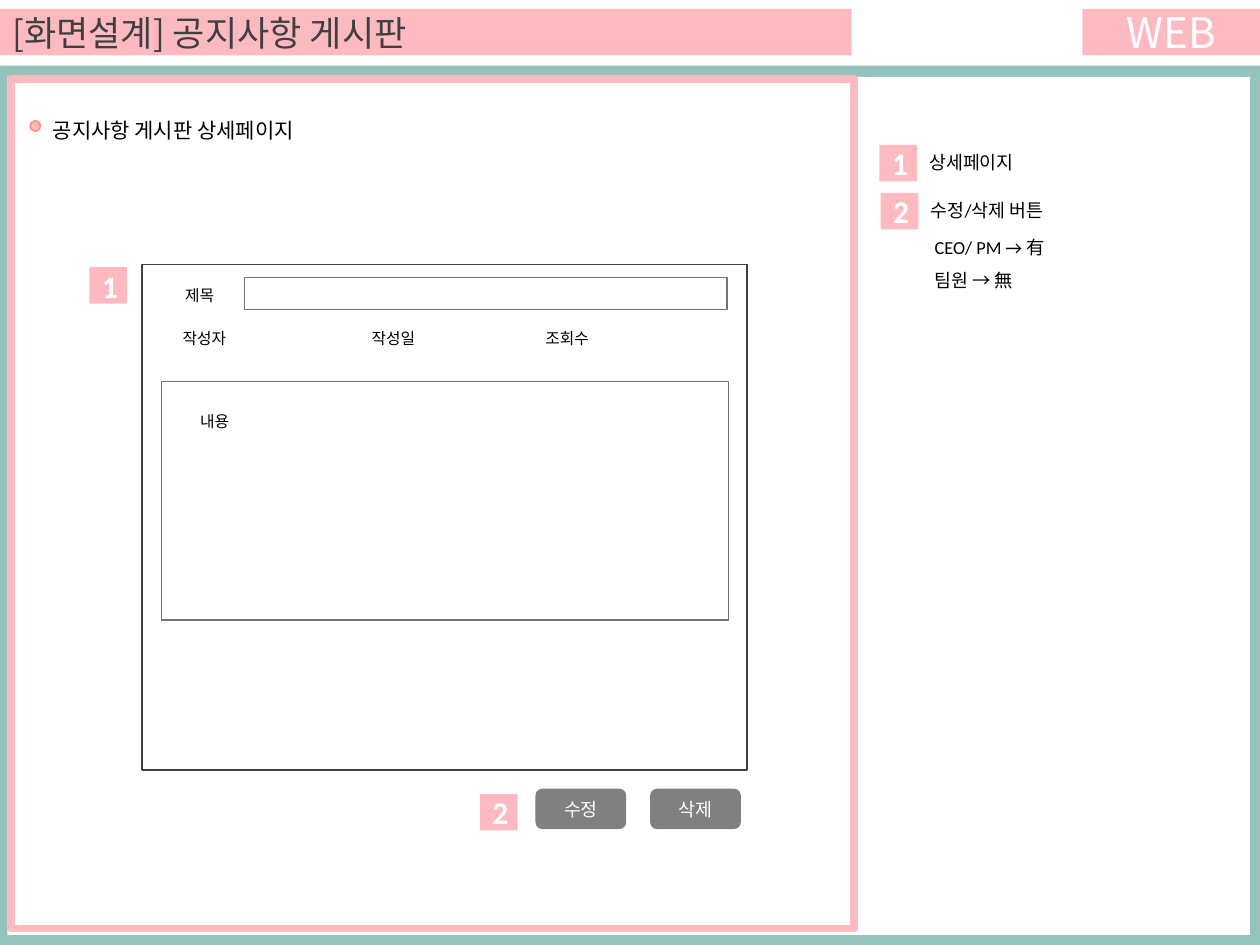
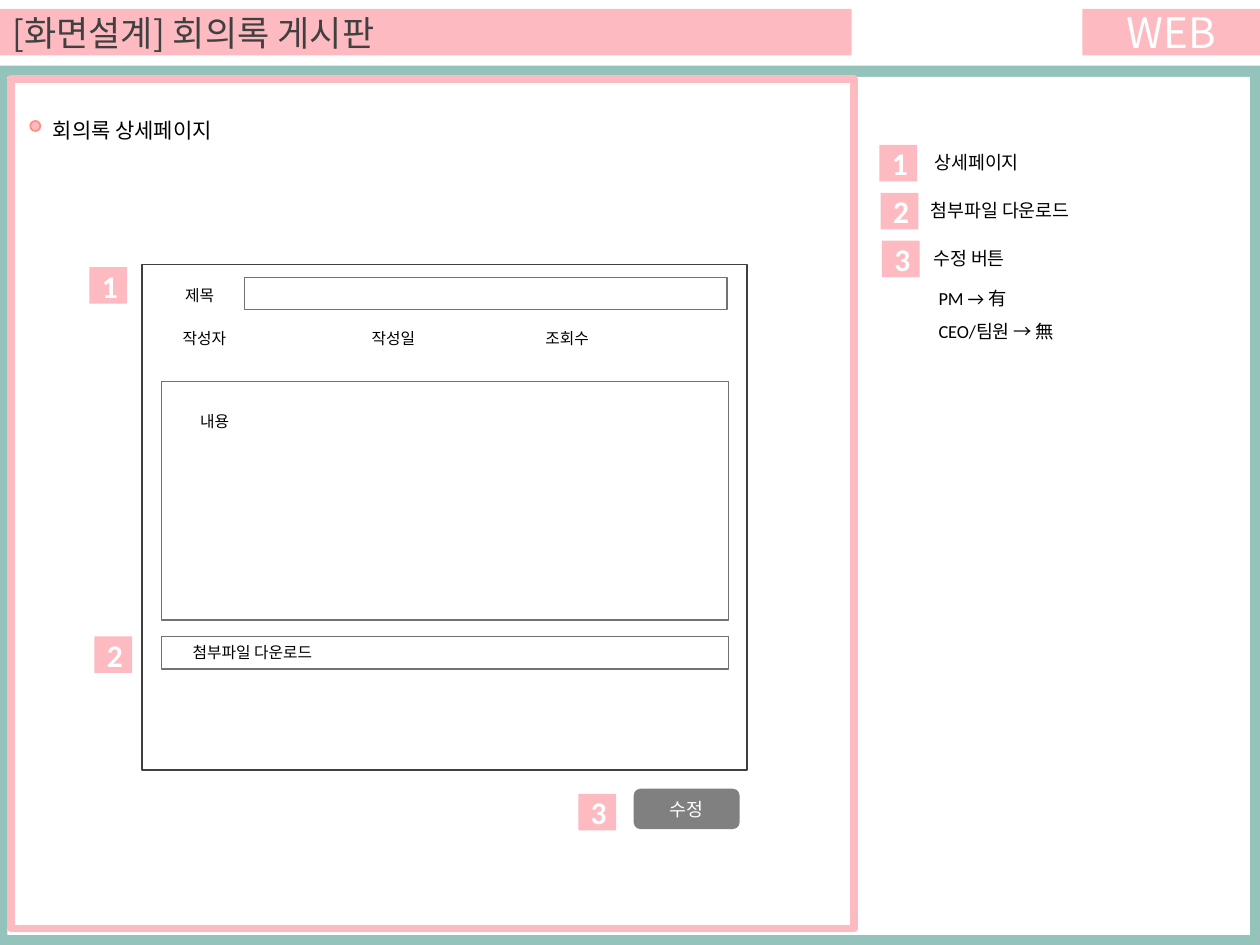
"""Build two wireframe slides describing the detail pages of two boards."""
import dataclasses

import pptx
import pptx.dml.color
import pptx.enum.shapes
import pptx.enum.text
import pptx.oxml
import pptx.oxml.ns
import pptx.util

Inches = pptx.util.Inches
SHAPE = pptx.enum.shapes.MSO_SHAPE
ALIGN = pptx.enum.text.PP_ALIGN
ANCHOR = pptx.enum.text.MSO_ANCHOR
AUTO_SIZE = pptx.enum.text.MSO_AUTO_SIZE


@dataclasses.dataclass(frozen=True)
class Theme:
    pink: str = "FDBBC1"
    coral: str = "FE907E"
    teal: str = "94C3BB"
    white: str = "FFFFFF"
    black: str = "000000"
    dark: str = "404040"
    outline: str = "767171"
    button: str = "808080"
    heading_font: str = "Noto Sans CJK KR"
    body_font: str = "Calibri"
    button_font: str = "Arial"
    platform_size: float = 24
    title_size: float = 20
    badge_size: float = 18
    subtitle_size: float = 12
    note_size: float = 10.5
    field_size: float = 9


theme = Theme()


def draw_shape(shapes, kind, at, fill=None, line=None, weight=1):
    shape = shapes.add_shape(kind, *map(Inches, at))
    shape.shadow.inherit = False
    if fill:
        shape.fill.solid()
        shape.fill.fore_color.rgb = pptx.dml.color.RGBColor.from_string(fill)
    else:
        shape.fill.background()
    if line:
        shape.line.color.rgb = pptx.dml.color.RGBColor.from_string(line)
        shape.line.width = pptx.util.Pt(weight)
    else:
        shape.line.fill.background()
    return shape


def write_text(shape, text, size, color=theme.black, font=theme.body_font, bold=False,
               align=ALIGN.LEFT, anchor=ANCHOR.TOP, wrap=True, grow=False, spacing=None):
    frame = shape.text_frame
    frame.text = text
    frame.word_wrap = wrap
    frame.vertical_anchor = anchor
    if grow:
        frame.auto_size = AUTO_SIZE.SHAPE_TO_FIT_TEXT
    for paragraph in frame.paragraphs:
        paragraph.alignment = align
        if spacing:
            paragraph.line_spacing = spacing
        for run in paragraph.runs:
            run.font.size = pptx.util.Pt(size)
            run.font.bold = bold
            run.font.name = font
            run.font.color.rgb = pptx.dml.color.RGBColor.from_string(color)
            east_asian = pptx.oxml.parse_xml(
                f'<a:ea {pptx.oxml.ns.nsdecls("a")} typeface="{theme.heading_font}"/>')
            run.font._element.find(pptx.oxml.ns.qn("a:latin")).addnext(east_asian)


pages = [
    {
        "title": "[화면설계] 공지사항 게시판",
        "subtitle": "공지사항 게시판 상세페이지",
        "notes": [("상세페이지", 7.28), ("수정/삭제 버튼", 7.29)],
        "permissions": ("CEO/ PM → 有\n팀원 → 無", (7.32, 1.74, 1.71, 0.63)),
        "markers": [("1", 0.71, 2.12), ("2", 3.81, 6.3)],
        "buttons": [("수정", 4.25, 0.72), ("삭제", 5.16, 0.72)],
        "attachment": None,
    },
    {
        "title": "[화면설계] 회의록 게시판",
        "subtitle": "회의록 상세페이지",
        "notes": [("상세페이지", 7.32), ("첨부파일 다운로드", 7.29), ("수정 버튼", 7.31)],
        "permissions": ("PM → 有\nCEO/팀원 → 無", (7.35, 2.14, 1.71, 0.63)),
        "markers": [("1", 0.71, 2.12), ("2", 0.75, 5.05), ("3", 4.59, 6.3)],
        "buttons": [("수정", 5.03, 0.84)],
        "attachment": "첨부파일 다운로드",
    },
]
form_fields = [
    ("제목", 1.37, 2.22, 0.45),
    ("작성자", 1.35, 2.56, 0.61),
    ("작성일", 2.85, 2.56, 0.58),
    ("조회수", 4.23, 2.56, 0.58),
    ("내용", 1.49, 3.22, 0.45),
]
centered = {"color": theme.white, "align": ALIGN.CENTER, "anchor": ANCHOR.MIDDLE}

presentation = pptx.Presentation()
presentation.slide_width = Inches(10)
presentation.slide_height = Inches(7.5)

for page in pages:
    slide = presentation.slides.add_slide(presentation.slide_layouts[6])
    shapes = slide.shapes

    backdrop = shapes.add_group_shape().shapes
    draw_shape(backdrop, SHAPE.RECTANGLE, (0, 0.52, 10, 6.98), fill=theme.teal)
    draw_shape(backdrop, SHAPE.RECTANGLE, (0.06, 0.61, 9.86, 6.81), fill=theme.white)
    draw_shape(backdrop, SHAPE.RECTANGLE, (0.09, 0.63, 6.69, 6.74), line=theme.pink, weight=4.5)

    platform = draw_shape(shapes, SHAPE.RECTANGLE, (8.59, 0.07, 1.41, 0.37), fill=theme.pink)
    write_text(platform, "WEB", theme.platform_size, font=theme.heading_font, **centered)
    title = draw_shape(shapes, SHAPE.RECTANGLE, (0, 0.07, 6.76, 0.37), fill=theme.pink)
    write_text(title, page["title"], theme.title_size, color=theme.dark,
               font=theme.heading_font, anchor=ANCHOR.MIDDLE)

    draw_shape(shapes, SHAPE.OVAL, (0.24, 0.96, 0.08, 0.08), fill=theme.pink, line=theme.coral)
    subtitle = shapes.add_textbox(*map(Inches, (0.32, 0.88, 3.82, 0.3)))
    write_text(subtitle, page["subtitle"], theme.subtitle_size, grow=True)

    draw_shape(shapes, SHAPE.RECTANGLE, (1.13, 2.1, 4.8, 4.01), line=theme.dark)
    form_boxes = [(1.94, 2.2, 3.83, 0.26), (1.28, 3.03, 4.5, 1.89)]
    labels = list(form_fields)
    if page["attachment"]:
        form_boxes.append((1.28, 5.05, 4.5, 0.26))
        labels.append((page["attachment"], 1.43, 5.05, 1.24))
    for form_box in form_boxes:
        draw_shape(shapes, SHAPE.RECTANGLE, form_box, line=theme.outline, weight=0.75)
    for label, left, top, width in labels:
        field = shapes.add_textbox(*map(Inches, (left, top, width, 0.25)))
        write_text(field, label, theme.field_size, wrap=False, grow=True)

    badges = list(page["markers"])
    for index, (note, left) in enumerate(page["notes"]):
        top = 1.15 + 0.38 * index
        badges.append((str(index + 1), 6.98 + 0.01 * index, top))
        description = shapes.add_textbox(*map(Inches, (left, top, 2.76, 0.28)))
        write_text(description, note, theme.note_size, grow=True)
    for number, left, top in badges:
        badge = draw_shape(shapes, SHAPE.RECTANGLE, (left, top, 0.3, 0.29), fill=theme.pink)
        write_text(badge, number, theme.badge_size, bold=True, **centered)

    for caption, left, width in page["buttons"]:
        button = draw_shape(shapes, SHAPE.ROUNDED_RECTANGLE, (left, 6.26, width, 0.32),
                            fill=theme.button)
        write_text(button, caption, theme.note_size, font=theme.button_font, **centered)

    rules, place = page["permissions"]
    permissions = shapes.add_textbox(*map(Inches, place))
    write_text(permissions, rules, theme.note_size, grow=True, spacing=1.5)

presentation.save("out.pptx")
